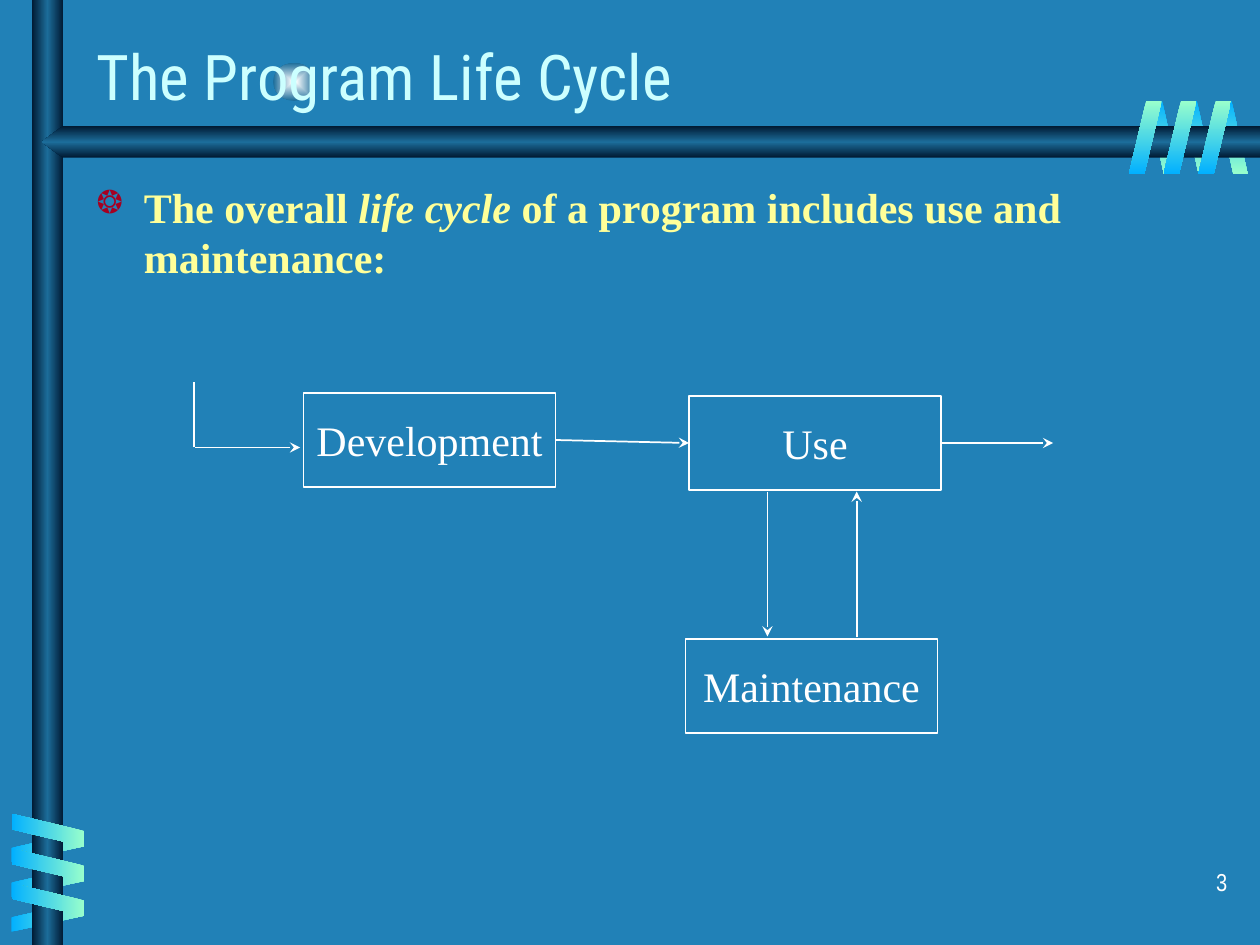
from pptx import Presentation
from pptx.dml.color import RGBColor
from pptx.enum.shapes import MSO_CONNECTOR, MSO_SHAPE
from pptx.enum.text import MSO_ANCHOR, PP_ALIGN
from pptx.oxml import parse_xml
from pptx.oxml.ns import nsdecls
from pptx.util import Cm, Pt

BACK = RGBColor(0x21, 0x81, 0xB7)
WHITE = RGBColor(0xFF, 0xFF, 0xFF)
AQUA = RGBColor(0xCC, 0xFF, 0xFF)
CREAM = RGBColor(0xFF, 0xFF, 0x99)
RED = RGBColor(0xA5, 0x00, 0x21)
NAVY = RGBColor(0x00, 0x19, 0x32)
STEEL = RGBColor(0x1C, 0x6D, 0x9A)
SKY = RGBColor(0x01, 0xB0, 0xFF)
MINT = RGBColor(0x99, 0xFF, 0xCC)
GLOW = RGBColor(0xFE, 0xFF, 0xFF)
SERIF = "Times New Roman"

TITLE = "The Program Life Cycle"
BODY = [("The overall ", False), ("life cycle", True),
        (" of a program includes use and maintenance:", False)]
PAGE = "3"

# All places below are in centimetres.
STEPS = {"Use": (13.89, 7.98), "Development": (6.12, 7.92),
         "Maintenance": (13.82, 12.88)}
STEP_SIZE = (5.08, 1.9)
# from, to, has an arrowhead
LINES = [((15.47, 9.91), (15.47, 12.83), True),
         ((17.27, 12.85), (17.27, 9.91), True),
         ((3.94, 9.02), (6.05, 9.02), True),
         ((3.91, 9.02), (3.91, 7.7), False)]
EXIT = (21.23, 8.93)
RAIL = [(25.4, 2.54), (1.27, 2.54), (0.84, 2.86), (1.27, 3.18), (25.4, 3.18)]

# first left, first top, width, turn, flipped, gradient angle
TOP_REAR = (23.14, 2.03, 0.61, 180, True, 90)
TOP_FRONT = (22.76, 2.03, 0.66, 0, False, 90)
SIDE_REAR = (0.66, 16.34, 0.61, 90, True, 180)
SIDE_FRONT = (0.64, 16.0, 0.66, 270, False, 180)
COIL_GAP, COIL_LONG = 0.7, 1.47

deck = Presentation()
deck.slide_width, deck.slide_height = Cm(25.4), Cm(19.05)
slide = deck.slides.add_slide(deck.slide_layouts[6])
slide.background.fill.solid()
slide.background.fill.fore_color.rgb = BACK
shapes = slide.shapes


def shade(shape, colors, angle=None):
    """Fill with an even gradient; without an angle it spreads from the centre."""
    last = len(colors) - 1
    stops = "".join(
        f'<a:gs pos="{100000 * i // last}"><a:srgbClr val="{c}"/></a:gs>'
        for i, c in enumerate(colors))
    if angle is None:
        way = ('<a:path path="rect"><a:fillToRect l="50000" t="50000" '
               'r="50000" b="50000"/></a:path>')
    else:
        way = f'<a:lin ang="{angle * 60000}" scaled="0"/>'
    shape._element.spPr.insert(2, parse_xml(
        f'<a:gradFill {nsdecls("a")} rotWithShape="0">'
        f'<a:gsLst>{stops}</a:gsLst>{way}</a:gradFill>'))
    shape.line.fill.background()
    shape.shadow.inherit = False


def place(kind, *box):
    return shapes.add_shape(kind, *map(Cm, box))


def coil(left, top, width, turn, flip, angle):
    """Draw three slanted bands, side by side or stacked."""
    for i in range(3):
        step = i * COIL_GAP
        x, y = (left + step, top) if angle == 90 else (left, top + step)
        band = place(MSO_SHAPE.PARALLELOGRAM, x, y, width, COIL_LONG)
        band.adjustments[0] = 0.53
        band.rotation = turn
        if flip:
            band._element.spPr.xfrm.set("flipH", "1")
        shade(band, (SKY, MINT) if flip else (MINT, SKY), angle)


def write(shape, runs, size=24, font=SERIF, color=WHITE, bold=False,
          align=PP_ALIGN.LEFT, anchor=MSO_ANCHOR.TOP, wrap=True, before=0):
    """Set one paragraph from (text, italic) runs."""
    frame = shape.text_frame
    frame.word_wrap = wrap
    frame.vertical_anchor = anchor
    para = frame.paragraphs[0]
    para.alignment = align
    para.space_before = Pt(before)
    for text, slant in runs:
        run = para.add_run()
        run.text = text
        face = run.font
        face.name, face.size = font, Pt(size)
        face.bold, face.italic = bold, slant
        face.color.rgb = color
    return para


def label(box, runs, **form):
    return write(shapes.add_textbox(*map(Cm, box)), runs, **form)


def link(start, end, head=True):
    line = shapes.add_connector(MSO_CONNECTOR.STRAIGHT,
                                *map(Cm, (*start, *end)))
    line.line.color.rgb = WHITE
    line.line.width = Pt(1)
    if head:
        line.line._get_or_add_ln().append(
            parse_xml(f'<a:tailEnd {nsdecls("a")} type="stealth"/>'))
    line._element.spPr.append(parse_xml(f'<a:effectLst {nsdecls("a")}/>'))
    return line


# Backdrop
shade(place(MSO_SHAPE.OVAL, 5.51, 1.27, 0.84, 0.76), (GLOW, STEEL))
coil(*TOP_REAR)
coil(*SIDE_REAR)
shade(place(MSO_SHAPE.RECTANGLE, 0.64, 0, 0.64, 19.05),
      (NAVY, STEEL, NAVY), 180)
spots = [(Cm(x), Cm(y)) for x, y in RAIL]
path = shapes.build_freeform(*spots[0])
path.add_line_segments(spots[1:], close=True)
shade(path.convert_to_shape(), (NAVY, STEEL, NAVY), 90)
coil(*SIDE_FRONT)
coil(*TOP_FRONT)

# Text
label((1.7, 0.56, 21.08, 1.91), [(TITLE, False)], size=36,
      font="Roboto Condensed", color=AQUA, anchor=MSO_ANCHOR.MIDDLE)
props = label((1.7, 3.53, 23.06, 13.61), BODY, color=CREAM, bold=True,
              before=6)._p.get_or_add_pPr()
props.set("marL", str(Cm(0.95)))
props.set("indent", str(Cm(-0.95)))
for bullet in (f'buClr {nsdecls("a")}><a:srgbClr val="{RED}"/></a:buClr>',
               f'buSzPct {nsdecls("a")} val="75000"/>',
               f'buChar {nsdecls("a")} char="❂"/>'):
    props.append(parse_xml("<a:" + bullet))

# Diagram
boxes = {}
for name, spot in STEPS.items():
    box = boxes[name] = place(MSO_SHAPE.RECTANGLE, *spot, *STEP_SIZE)
    box.fill.background()
    box.line.color.rgb = WHITE
    box.line.width = Pt(1)
    box.shadow.inherit = False
    write(box, [(name, False)], align=PP_ALIGN.CENTER,
          anchor=MSO_ANCHOR.MIDDLE, wrap=False)
for start, end, head in LINES:
    link(start, end, head)
hand = link((11.2, 8.9), (13.89, 8.9))
hand.begin_connect(boxes["Development"], 3)
hand.end_connect(boxes["Use"], 1)
link((18.97, 8.93), EXIT).begin_connect(boxes["Use"], 3)

label((19.71, 17.35, 5.28, 1.27), [(PAGE, False)], size=14,
      font="Arial Narrow", align=PP_ALIGN.RIGHT, before=8.8)

deck.save("out.pptx")
